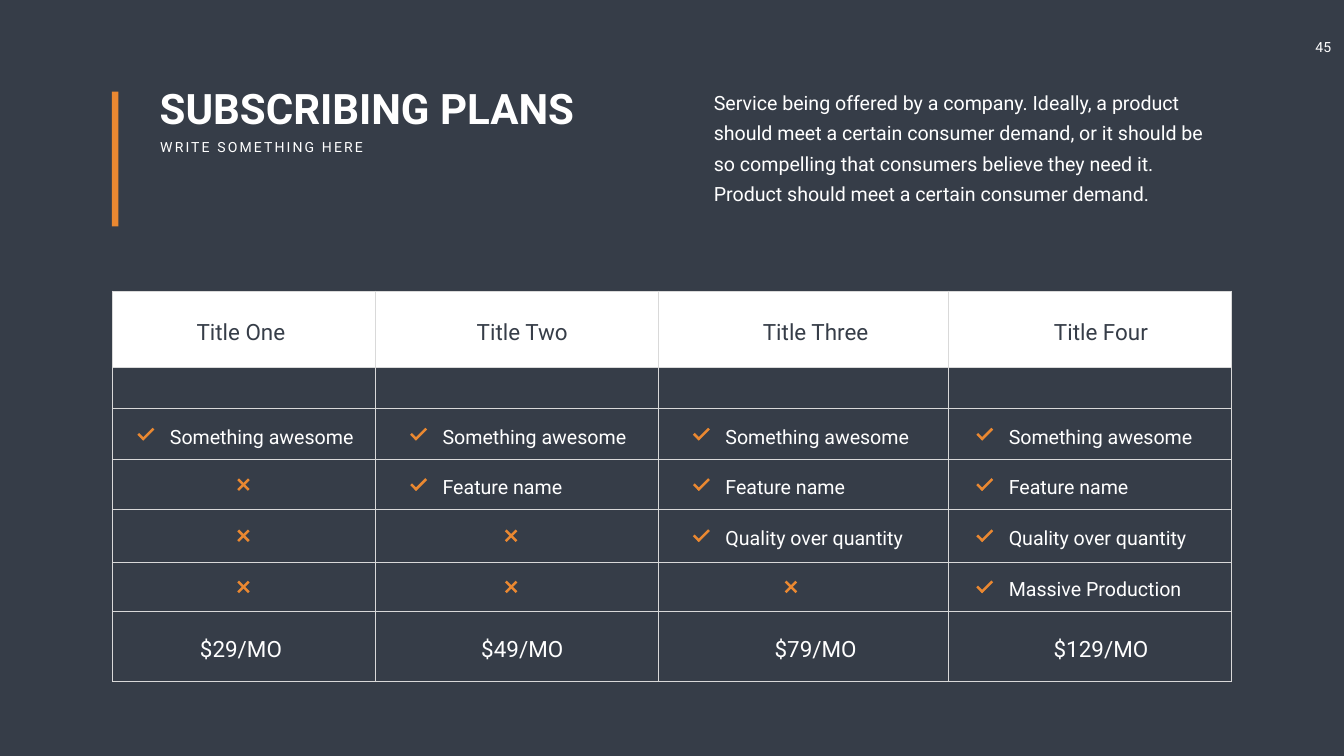
import itertools

import pptx
import pptx.dml.color
import pptx.enum.shapes
import pptx.enum.text
import pptx.oxml
import pptx.oxml.ns
import pptx.util

Inches = pptx.util.Inches
Pt = pptx.util.Pt
ALIGN = pptx.enum.text.PP_ALIGN

DARK, WHITE, ORANGE, GREY = "363D48", "FFFFFF", "EA8831", "D9D9D9"
FONT = "Roboto"

PLANS = [
    ("Title One", "$29/MO"),
    ("Title Two", "$49/MO"),
    ("Title Three", "$79/MO"),
    ("Title Four", "$129/MO"),
]
FEATURES = ["Something awesome", "Feature name", "Quality over quantity", "Massive Production"]

COLUMN_WIDTHS = [5.23, 5.6, 5.76, 5.61]
ROW_HEIGHTS = [1.52, 0.81, 1.02, 0.98, 1.05, 0.98, 1.39]
FIRST_FEATURE_ROW = 2
FEATURE_INDENTS = [1.15, 1.33, 1.34, 1.2]
HEADING_INDENTS = [0.22, 0.57, 0.79, 0.69]
HEADING_WIDTH = 4.68
CROSS_CENTERS = [2.61, 2.69, 2.64, 2.8]


def rgb(color):
    return pptx.dml.color.RGBColor.from_string(color)


def style_paragraph(p, size, color, bold=False, align=ALIGN.LEFT):
    p.alignment = align
    for r in p.runs:
        r.font.name = FONT
        r.font.size = Pt(size)
        r.font.bold = bold
        r.font.color.rgb = rgb(color)


def add_text(s, box, text, size, wrap=True, inset=(0.1, 0.05), **style):
    tf = s.shapes.add_textbox(*map(Inches, box)).text_frame
    tf.word_wrap = wrap
    tf.margin_left = tf.margin_right = Inches(inset[0])
    tf.margin_top = tf.margin_bottom = Inches(inset[1])
    tf.text = text
    p = tf.paragraphs[0]
    style_paragraph(p, size, WHITE, **style)
    return p


def add_bar(shapes, box, rotation=0):
    sp = shapes.add_shape(pptx.enum.shapes.MSO_SHAPE.RECTANGLE, *map(Inches, box))
    sp.shadow.inherit = False
    sp.fill.solid()
    sp.fill.fore_color.rgb = rgb(ORANGE)
    sp.line.fill.background()
    sp.rotation = rotation


def add_check(s, x, y):
    shapes = s.shapes.add_group_shape().shapes
    add_bar(shapes, (x, y + 0.03, 0.16, 0.05), 45)
    add_bar(shapes, (x + 0.06, y - 0.02, 0.31, 0.05), 315)


def add_cross(s, x, y):
    shapes = s.shapes.add_group_shape().shapes
    for rotation in (315, 45):
        add_bar(shapes, (x - 0.15, y - 0.02, 0.3, 0.05), rotation)


def set_borders(cell):
    tc_pr = cell._tc.get_or_add_tcPr()
    for side in ("lnL", "lnR", "lnT", "lnB"):
        tc_pr.append(pptx.oxml.parse_xml(
            f'<a:{side} {pptx.oxml.ns.nsdecls("a")} w="{Pt(0.5)}"><a:solidFill>'
            f'<a:srgbClr val="{GREY}"/></a:solidFill></a:{side}>'))


def fill_cell(cell, text, size, color, left, right, align):
    cell.margin_left, cell.margin_right = Inches(left), Inches(right)
    cell.margin_top, cell.margin_bottom = Inches(0.14), 0
    cell.vertical_anchor = pptx.enum.text.MSO_ANCHOR.MIDDLE
    cell.text_frame.text = text
    style_paragraph(cell.text_frame.paragraphs[0], size, color, align=align)


def add_header(s, left, top, width):
    add_bar(s.shapes, (left, top, 0.13, 2.67))
    add_text(s, (left + 0.85, top - 0.23, 10.39, 1.11), "SUBSCRIBING PLANS", 60, bold=True)
    p = add_text(s, (left + 0.86, top + 0.88, 4.35, 0.44), "WRITE SOMETHING HERE", 20, wrap=False)
    p.runs[0].font._element.set("spc", "300")
    intro_width = 10.51
    p = add_text(
        s, (left + width - intro_width, top - 0.26, intro_width, 2.6),
        "Service being offered by a company. Ideally, a product should meet a certain "
        "consumer demand, or it should be so compelling that consumers believe they need it. "
        "Product should meet a certain consumer demand.",
        28, inset=(0.24, 0.12))
    p.line_spacing = Pt(43)


def add_plans(s, left, top):
    size = (len(ROW_HEIGHTS), len(COLUMN_WIDTHS))
    frame = s.shapes.add_table(*size, *map(
        Inches, (left, top, sum(COLUMN_WIDTHS), sum(ROW_HEIGHTS))))
    table = frame.table
    table.first_row = table.horz_banding = False
    for column, width in zip(table.columns, COLUMN_WIDTHS):
        column.width = Inches(width)
    for row, height in zip(table.rows, ROW_HEIGHTS):
        row.height = Inches(height)
    for cell in table.iter_cells():
        set_borders(cell)
        cell.fill.background()

    xs = list(itertools.accumulate(COLUMN_WIDTHS, initial=left))
    ys = list(itertools.accumulate(ROW_HEIGHTS, initial=top))
    for c, (title, price) in enumerate(PLANS):
        indent = HEADING_INDENTS[c]
        rest = COLUMN_WIDTHS[c] - indent - HEADING_WIDTH
        header = table.cell(0, c)
        header.fill.solid()
        header.fill.fore_color.rgb = rgb(WHITE)
        fill_cell(header, title, 32, DARK, indent, rest, ALIGN.CENTER)
        fill_cell(table.cell(size[0] - 1, c), price, 32, WHITE, indent, rest, ALIGN.CENTER)
        for r, feature in enumerate(FEATURES, FIRST_FEATURE_ROW):
            middle = ys[r] + ROW_HEIGHTS[r] / 2
            if r - FIRST_FEATURE_ROW <= c:
                indent = FEATURE_INDENTS[c]
                fill_cell(table.cell(r, c), feature, 28, WHITE, indent, 0.1, ALIGN.LEFT)
                add_check(s, xs[c] + indent - 0.65, middle)
            else:
                add_cross(s, xs[c] + CROSS_CENTERS[c], middle)


def main():
    prs = pptx.Presentation()
    prs.slide_width, prs.slide_height = Inches(26.66), Inches(15)
    s = prs.slides.add_slide(prs.slide_layouts[6])
    s.background.fill.solid()
    s.background.fill.fore_color.rgb = rgb(DARK)
    add_text(s, (25.87, 0.67, 0.76, 0.54), "45", 20, wrap=False,
             inset=(0.1, 0.1), align=ALIGN.CENTER)
    add_header(s, 2.22, 1.82, 22.21)
    add_plans(s, 2.22, 5.77)
    prs.save("out.pptx")


if __name__ == "__main__":
    main()
